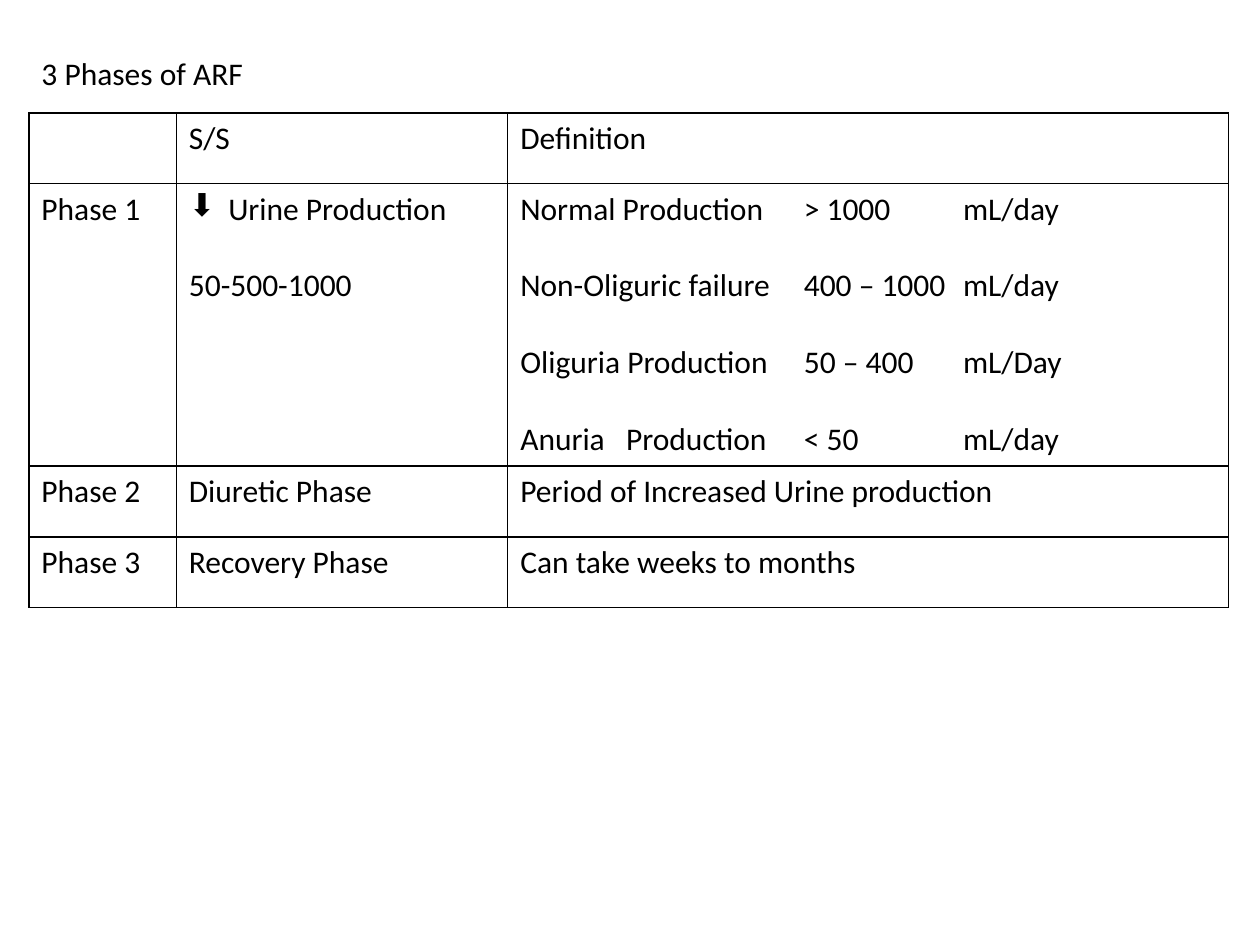
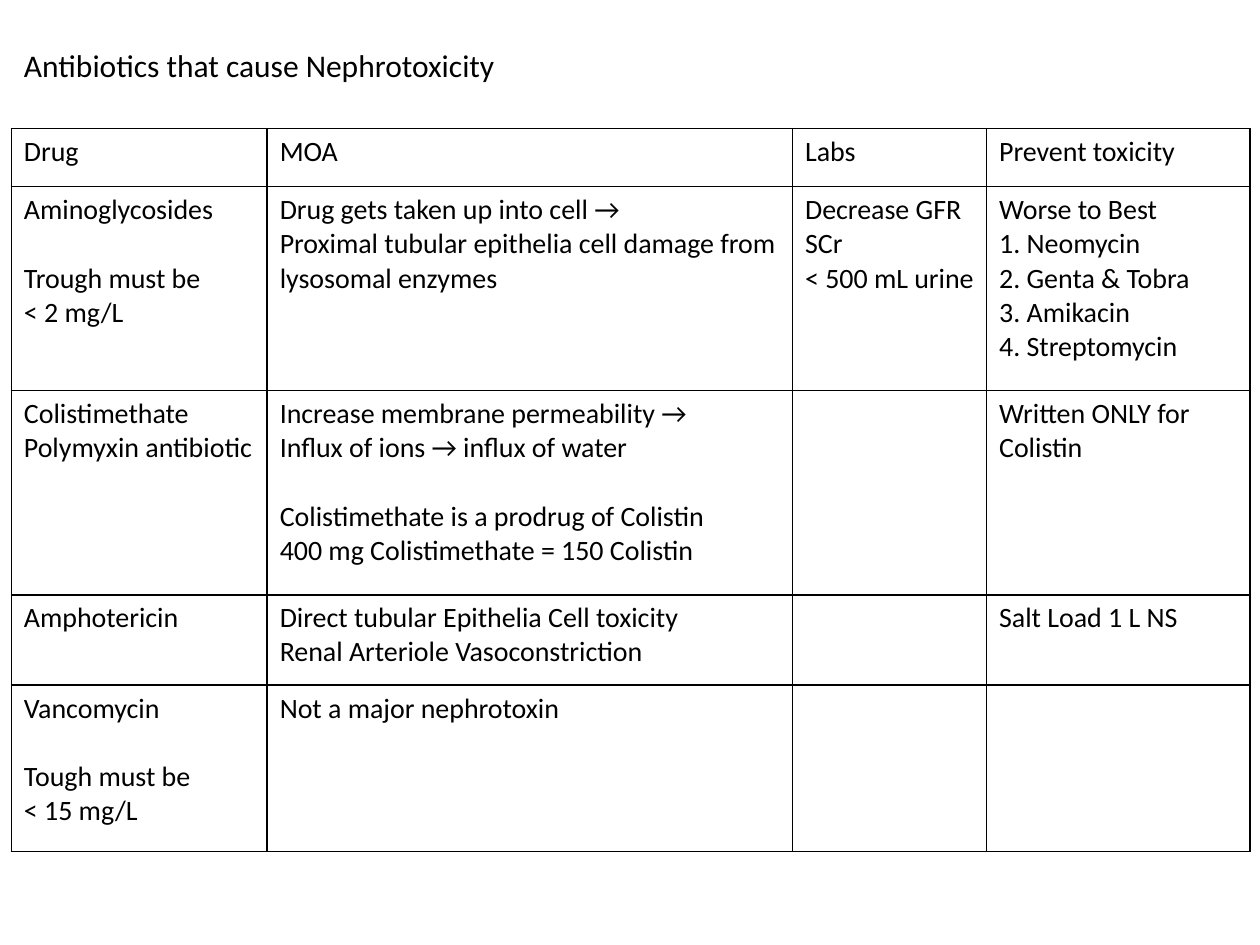
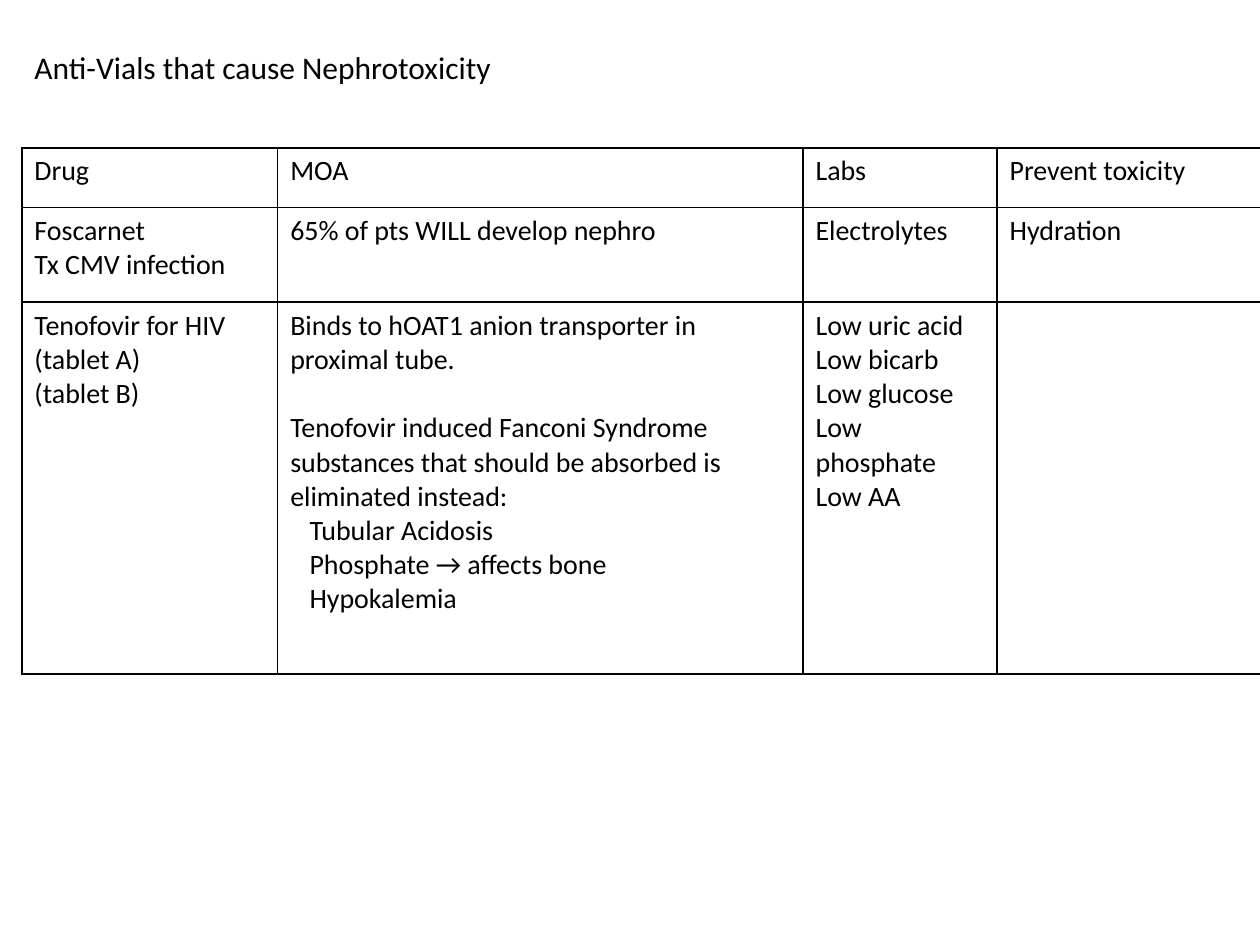
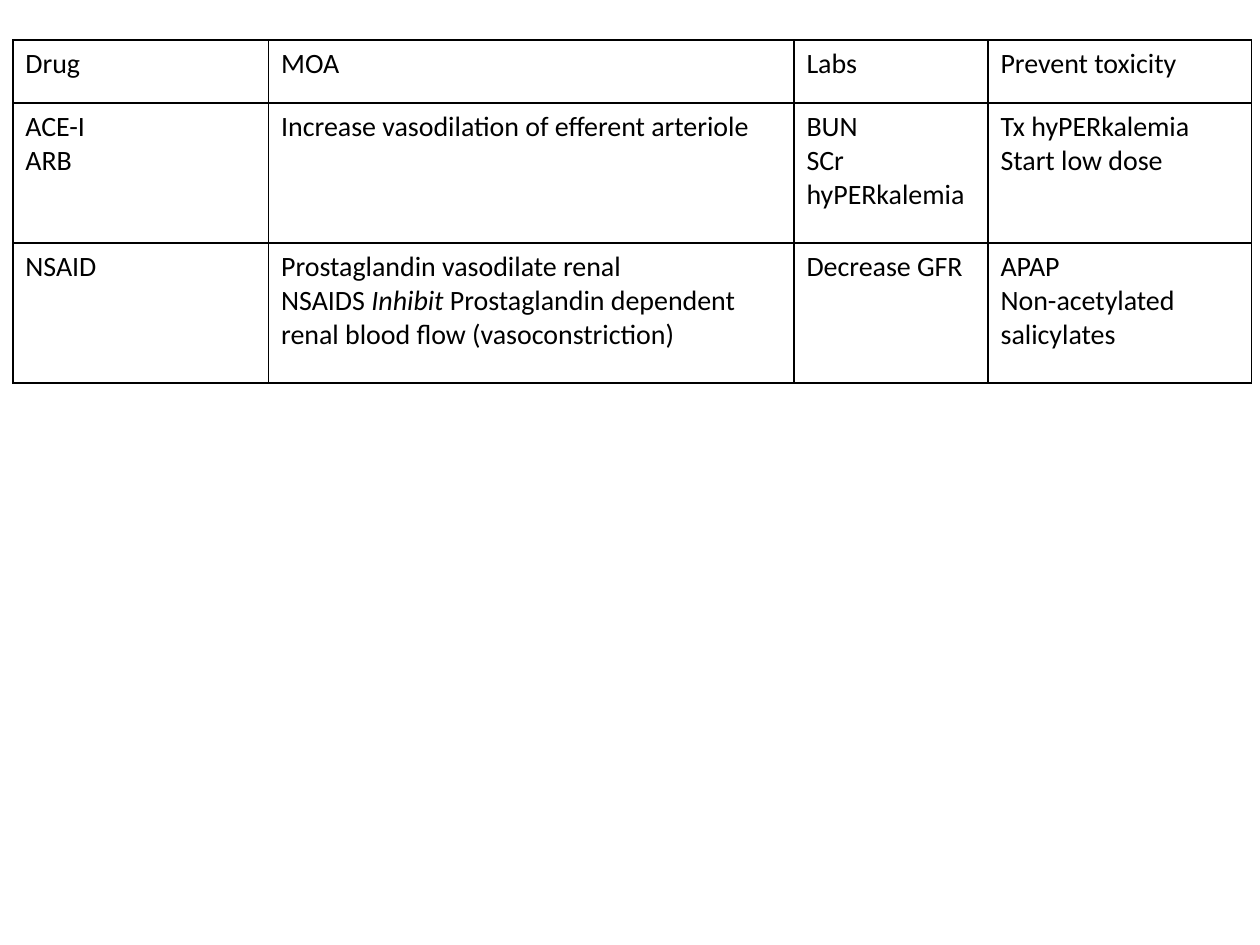
from dataclasses import dataclass

from lxml.etree import SubElement
from pptx import Presentation
from pptx.dml.color import RGBColor
from pptx.enum.text import MSO_ANCHOR, MSO_AUTO_SIZE, PP_ALIGN
from pptx.oxml.ns import qn
from pptx.util import Pt

FONT = "Calibri"
BLACK = "000000"
TITLE_SIZE = 18
LINE_HEIGHT = 1.22
BORDER_WIDTH = 1
TITLE_ONLY, BLANK = 5, 6

DRUG_COLS = (146.2, 300.2, 110.9, 150.5)
DRUG_HEADER = ("Drug", "MOA", "Labs", "Prevent toxicity")
VOLUME_TABS = (60.5, 162, 253)


@dataclass
class Line:
    text: str
    gap: bool = False
    indent: float = 0
    bullet: str = ""
    italic: str = ""
    tabs: tuple[float, ...] = ()


Cell = str | list[Line]


@dataclass
class Title:
    text: str
    left: float
    top: float
    width: float
    height: float = 29


@dataclass
class Grid:
    left: float
    top: float
    cols: tuple[float, ...]
    heights: tuple[float, ...]
    size: float
    rows: list[tuple[Cell, ...]]


@dataclass
class Page:
    grid: Grid
    title: Title | None = None


def to_lines(text: str) -> list[Line]:
    """Split a cell text into lines; an empty line becomes a gap."""
    return [Line(part, gap=block_no > 0 and part_no == 0)
            for block_no, block in enumerate(text.split("\n\n"))
            for part_no, part in enumerate(block.split("\n"))]


PHASES = Page(
    Grid(16.5, 64.5, (84.25, 189.4, 411.85), (40.5, 161.3, 40.5, 40.5), 18, [
        ("", "S/S", "Definition"),
        ("Phase 1",
         [Line("Urine Production", indent=22.5, bullet="⬇"),
          Line("50-500-1000", gap=True)],
         [Line(text, gap=no > 0, tabs=VOLUME_TABS) for no, text in enumerate((
             "Normal Production\t> 1000\tmL/day",
             "Non-Oliguric failure\t400 – 1000\tmL/day",
             "Oliguria Production\t50 – 400\tmL/Day",
             "Anuria\tProduction\t< 50\tmL/day"))]),
        ("Phase 2", "Diuretic Phase", "Period of Increased Urine production"),
        ("Phase 3", "Recovery Phase", "Can take weeks to months"),
    ]),
    Title("3 Phases of ARF", 16.5, 27.5, 131))

ANTIBIOTICS = Page(
    Grid(6.5, 73.5, DRUG_COLS, (33.2, 116.6, 116.6, 51.6, 95), 16, [
        DRUG_HEADER,
        ("Aminoglycosides\n\nTrough must be\n< 2 mg/L",
         "Drug gets taken up into cell →\n"
         "Proximal tubular epithelia cell damage from lysosomal enzymes",
         "Decrease GFR\nSCr\n< 500 mL urine",
         "Worse to Best\n1. Neomycin\n2. Genta & Tobra\n3. Amikacin\n4. Streptomycin"),
        ("Colistimethate\nPolymyxin antibiotic",
         "Increase membrane permeability →\nInflux of ions → influx of water\n\n"
         "Colistimethate is a prodrug of Colistin\n400 mg Colistimethate = 150 Colistin",
         "", "Written ONLY for Colistin"),
        ("Amphotericin",
         "Direct tubular Epithelia Cell toxicity\nRenal Arteriole Vasoconstriction",
         "", "Salt Load 1 L NS"),
        ("Vancomycin\n\nTough must be\n< 15 mg/L", "Not a major nephrotoxin", "", ""),
    ]),
    Title("Antibiotics that cause Nephrotoxicity", 6.5, 22.5, 287.3))

ANTIVIRALS = Page(
    Grid(12.5, 84.5, DRUG_COLS, (34.2, 54, 212.4), 16, [
        DRUG_HEADER,
        ("Foscarnet\nTx CMV infection", "65% of pts WILL develop nephro",
         "Electrolytes", "Hydration"),
        ("Tenofovir for HIV\n(tablet A)\n(tablet B)",
         to_lines("Binds to hOAT1 anion transporter in proximal tube.\n\n"
                  "Tenofovir induced Fanconi Syndrome substances that should be "
                  "absorbed is eliminated instead:")
         + [Line(effect, indent=11) for effect in (
             "Tubular Acidosis", "Phosphate → affects bone", "Hypokalemia")],
         "Low uric acid\nLow bicarb\nLow glucose\nLow phosphate\nLow AA", ""),
    ]),
    Title("Anti-Vials that cause Nephrotoxicity", 12.5, 24, 289.4))

OTHER_DRUGS = Page(
    Grid(7.3, 23, DRUG_COLS, (36, 80, 80), 16, [
        DRUG_HEADER,
        ("ACE-I\nARB", "Increase vasodilation of efferent arteriole",
         "BUN\nSCr\nhyPERkalemia", "Tx hyPERkalemia\nStart low dose"),
        ("NSAID",
         [Line("Prostaglandin vasodilate renal"),
          Line("NSAIDS Inhibit Prostaglandin dependent renal blood flow "
               "(vasoconstriction)", italic="Inhibit")],
         "Decrease GFR", "APAP\nNon-acetylated salicylates"),
    ]))


def rgb(color: str) -> RGBColor:
    return RGBColor.from_string(color)


def style_run(r, size: float, italic: bool = False) -> None:
    r.font.name = FONT
    r.font.size = Pt(size)
    r.font.color.rgb = rgb(BLACK)
    r.font.italic = italic


def write_line(p, line: Line, size: float) -> None:
    if line.gap:
        p.space_before = Pt(size * LINE_HEIGHT)
    pPr = p._p.get_or_add_pPr()
    if line.indent:
        pPr.set("marL", str(Pt(line.indent)))
    if line.bullet:
        pPr.set("indent", str(-Pt(line.indent)))
        SubElement(pPr, qn("a:buChar"), char=line.bullet)
    if line.tabs:
        tab_list = SubElement(pPr, qn("a:tabLst"))
        for pos in line.tabs:
            SubElement(tab_list, qn("a:tab"), pos=str(Pt(pos)), algn="l")
    parts = line.text.partition(line.italic) if line.italic else (line.text,)
    for part in parts:
        r = p.add_run()
        r.text = part
        style_run(r, size, bool(line.italic) and part == line.italic)


def add_borders(cell) -> None:
    tcPr = cell._tc.get_or_add_tcPr()
    for side in ("lnL", "lnR", "lnT", "lnB"):
        ln = SubElement(tcPr, qn(f"a:{side}"), w=str(Pt(BORDER_WIDTH)))
        fill = SubElement(ln, qn("a:solidFill"))
        SubElement(fill, qn("a:srgbClr"), val=BLACK)


def fill_cell(cell, content: Cell, size: float) -> None:
    add_borders(cell)
    cell.fill.background()
    if not content:
        return
    lines = to_lines(content) if isinstance(content, str) else content
    tf = cell.text_frame
    for no, line in enumerate(lines):
        write_line(tf.add_paragraph() if no else tf.paragraphs[0], line, size)


def add_grid(s, grid: Grid) -> None:
    frame = s.shapes.add_table(
        len(grid.rows), len(grid.cols), Pt(grid.left), Pt(grid.top),
        Pt(sum(grid.cols)), Pt(sum(grid.heights)))
    table = frame.table
    table.first_row = table.horz_banding = False
    for column, width in zip(table.columns, grid.cols):
        column.width = Pt(width)
    for row, height, contents in zip(table.rows, grid.heights, grid.rows):
        row.height = Pt(height)
        for cell, content in zip(row.cells, contents):
            fill_cell(cell, content, grid.size)


def set_title(s, title: Title) -> None:
    sp = s.shapes.title
    sp.left, sp.top = Pt(title.left), Pt(title.top)
    sp.width, sp.height = Pt(title.width), Pt(title.height)
    tf = sp.text_frame
    tf.text = title.text
    tf.word_wrap = False
    tf.auto_size = MSO_AUTO_SIZE.SHAPE_TO_FIT_TEXT
    tf.vertical_anchor = MSO_ANCHOR.TOP
    p = tf.paragraphs[0]
    p.alignment = PP_ALIGN.LEFT
    style_run(p.runs[0], TITLE_SIZE)


def main() -> None:
    prs = Presentation()
    prs.slide_width, prs.slide_height = Pt(720), Pt(540)
    for page in (PHASES, ANTIBIOTICS, ANTIVIRALS, OTHER_DRUGS):
        layout = prs.slide_layouts[TITLE_ONLY if page.title else BLANK]
        s = prs.slides.add_slide(layout)
        if page.title:
            set_title(s, page.title)
        add_grid(s, page.grid)
    prs.save("out.pptx")


if __name__ == "__main__":
    main()
